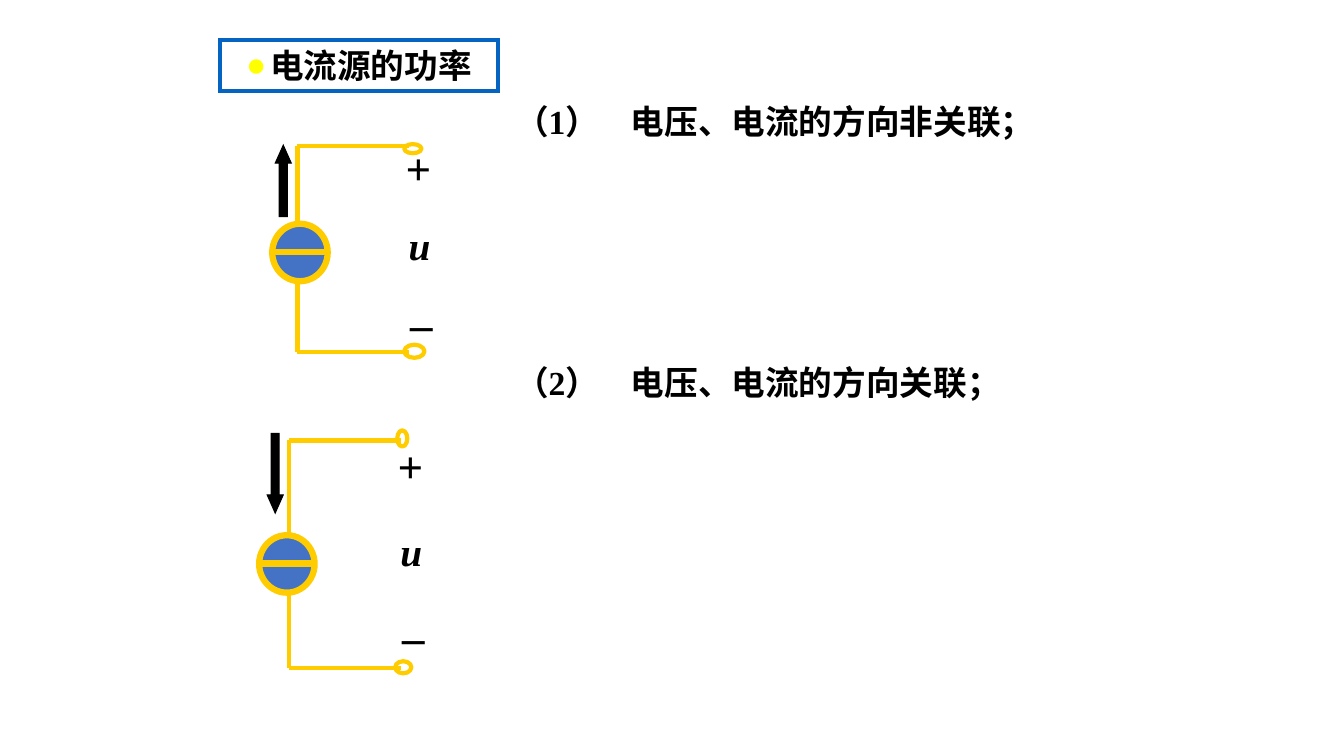
from dataclasses import dataclass

from lxml import etree
from pptx import Presentation, util as u
from pptx.dml.color import RGBColor
from pptx.enum import shapes, text
from pptx.oxml.ns import qn

PX = 9144  # EMU per px, 100 px to the inch


@dataclass(frozen=True)
class Theme:
    font: str = "Times New Roman"
    ink: str = "000000"
    frame: str = "0563C1"
    bullet: str = "FFFF00"
    wire: str = "FFCC00"
    source: str = "4472C4"
    body: int = 24
    symbol: int = 28
    sign: int = 32
    hairline: float = 0.75
    thin: float = 3
    thick: float = 4.5


THEME = Theme()


@dataclass(frozen=True)
class Circuit:
    wire_x: int
    top: int
    bottom: int
    source: tuple       # left, top of the source circle
    bar: tuple          # left, y of the bar across the circle
    terminals: tuple    # boxes of the upper and lower terminal
    label_tops: tuple   # tops of +, u and _
    arrow: tuple        # preset shape, box, head ratio


SHAPE = shapes.MSO_SHAPE
CIRCUITS = (
    Circuit(295, 145, 349, (270, 222), (268, 250),
            ((401, 143, 17, 9), (401, 342, 20, 13)),
            (140, 214, 274), (SHAPE.UP_ARROW, (273, 144, 16, 71), 1.12)),
    Circuit(287, 437, 663, (257, 531), (257, 559),
            ((394, 427, 10, 16), (392, 656, 16, 12)),
            (436, 518, 584), (SHAPE.DOWN_ARROW, (265, 430, 16, 79), 1.13)),
)
CASES = (
    ("（1）\t电压、电流的方向非关联；", (501, 95, 606, 50)),
    ("（2）\t电压、电流的方向关联；", (501, 354, 567, 50)),
)


def emu(box):
    return [v * PX for v in box]


def rgb(code):
    return RGBColor.from_string(code)


def set_line(sp, color, width):
    sp.line.color.rgb = rgb(color)
    sp.line.width = u.Pt(width)


def square_corners(sp):
    etree.SubElement(sp.line._get_or_add_ln(), qn("a:miter"), lim="800000")


def write(sp, words, size, italic=False, centred=True, wrap=True):
    """Put one formatted paragraph in a shape and return it."""
    tf = sp.text_frame
    frame = {"word_wrap": wrap, "auto_size": text.MSO_AUTO_SIZE.NONE,
             "vertical_anchor": text.MSO_ANCHOR.MIDDLE}
    for name, value in frame.items():
        setattr(tf, name, value)
    p = tf.paragraphs[0]
    p.alignment = text.PP_ALIGN.CENTER if centred else text.PP_ALIGN.LEFT
    r = p.add_run()
    r.text = words
    font = {"name": THEME.font, "size": u.Pt(size), "bold": True, "italic": italic}
    for name, value in font.items():
        setattr(r.font, name, value)
    r.font.color.rgb = rgb(THEME.ink)
    return p


def add_title(s, words, box):
    sp = s.shapes.title
    sp.left, sp.top, sp.width, sp.height = emu(box)
    set_line(sp, THEME.frame, THEME.thin)
    square_corners(sp)
    pPr = write(sp, words, THEME.body)._p.get_or_add_pPr()
    color = etree.SubElement(pPr, qn("a:buClr"))
    etree.SubElement(color, qn("a:srgbClr"), val=THEME.bullet)
    etree.SubElement(pPr, qn("a:buFont"), typeface=THEME.font)
    etree.SubElement(pPr, qn("a:buChar"), char="●")


def add_case(s, words, box):
    sp = s.shapes.add_textbox(*emu(box))
    p = write(sp, words, THEME.body, centred=False)
    tabs = etree.SubElement(p._p.get_or_add_pPr(), qn("a:tabLst"))
    etree.SubElement(tabs, qn("a:tab"), pos=str(115 * PX), algn="l")


def add_preset(parent, kind, box, fill, line, width):
    sp = parent.add_shape(kind, *emu(box))
    sp.shadow.inherit = False
    if fill:
        sp.fill.solid()
        sp.fill.fore_color.rgb = rgb(fill)
    else:
        sp.fill.background()
    set_line(sp, line, width)
    return sp


def add_wire(parent, start, end, width=THEME.thin):
    line = parent.add_connector(shapes.MSO_CONNECTOR.STRAIGHT, *emu(start + end))
    set_line(line, THEME.wire, width)
    etree.SubElement(line._element.spPr, qn("a:effectLst"))


def add_label(parent, words, box, size, rotation=0):
    sp = parent.add_textbox(*emu(box))
    sp.rotation = rotation
    write(sp, words, size, italic=True, wrap=False)


def add_circuit(s, c):
    parent = s.shapes.add_group_shape().shapes
    x = c.wire_x

    # Current source on its vertical wire
    add_wire(parent, (x, c.bottom), (x, c.top))
    add_preset(parent, SHAPE.OVAL, c.source + (55, 57),
               THEME.source, THEME.wire, THEME.thick)
    bar_x, bar_y = c.bar
    add_wire(parent, c.bar, (bar_x + 55, bar_y), THEME.thick)

    # Leads and open terminals
    for y, terminal in zip((c.top, c.bottom), c.terminals):
        add_preset(parent, SHAPE.OVAL, terminal, None, THEME.wire, THEME.thin)
        add_wire(parent, (x + 111, y), (x, y))

    # Voltage polarity
    plus, symbol, minus = c.label_tops
    add_label(parent, "+", (x + 98, plus, 45, 63), THEME.sign, rotation=180)
    add_label(parent, "u", (x + 100, symbol, 42, 57), THEME.symbol)
    add_label(parent, "_", (x + 109, minus, 34, 63), THEME.sign)

    # Current direction
    kind, box, head = c.arrow
    arrow = add_preset(parent, kind, box, THEME.ink, THEME.ink, THEME.hairline)
    square_corners(arrow)
    arrow.adjustments[0] = 0.5
    arrow.adjustments[1] = head


def main():
    prs = Presentation()
    prs.slide_width, prs.slide_height = emu((1333, 750))
    s = prs.slides.add_slide(prs.slide_layouts.get_by_name("Title Only"))
    add_title(s, "电流源的功率", (218, 40, 276, 50))
    for words, box in CASES:
        add_case(s, words, box)
    for circuit in CIRCUITS:
        add_circuit(s, circuit)
    prs.save("out.pptx")


if __name__ == "__main__":
    main()
